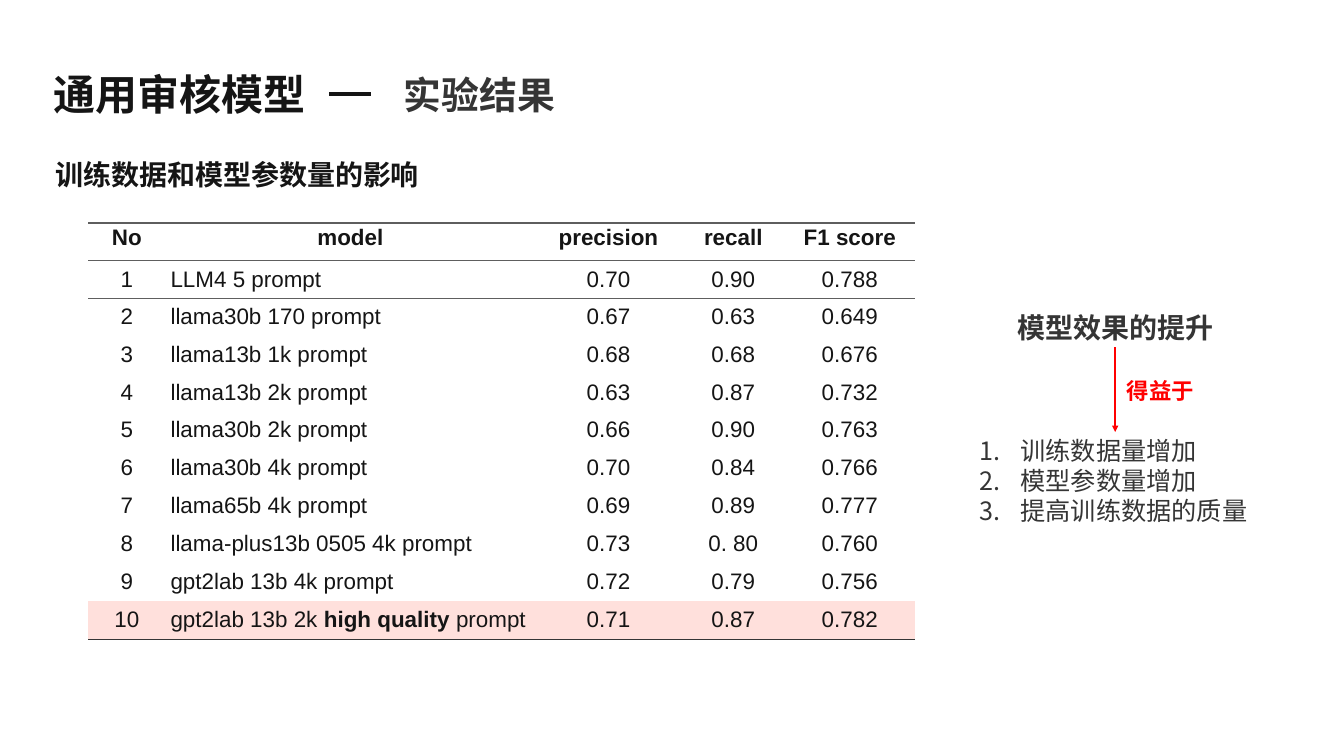
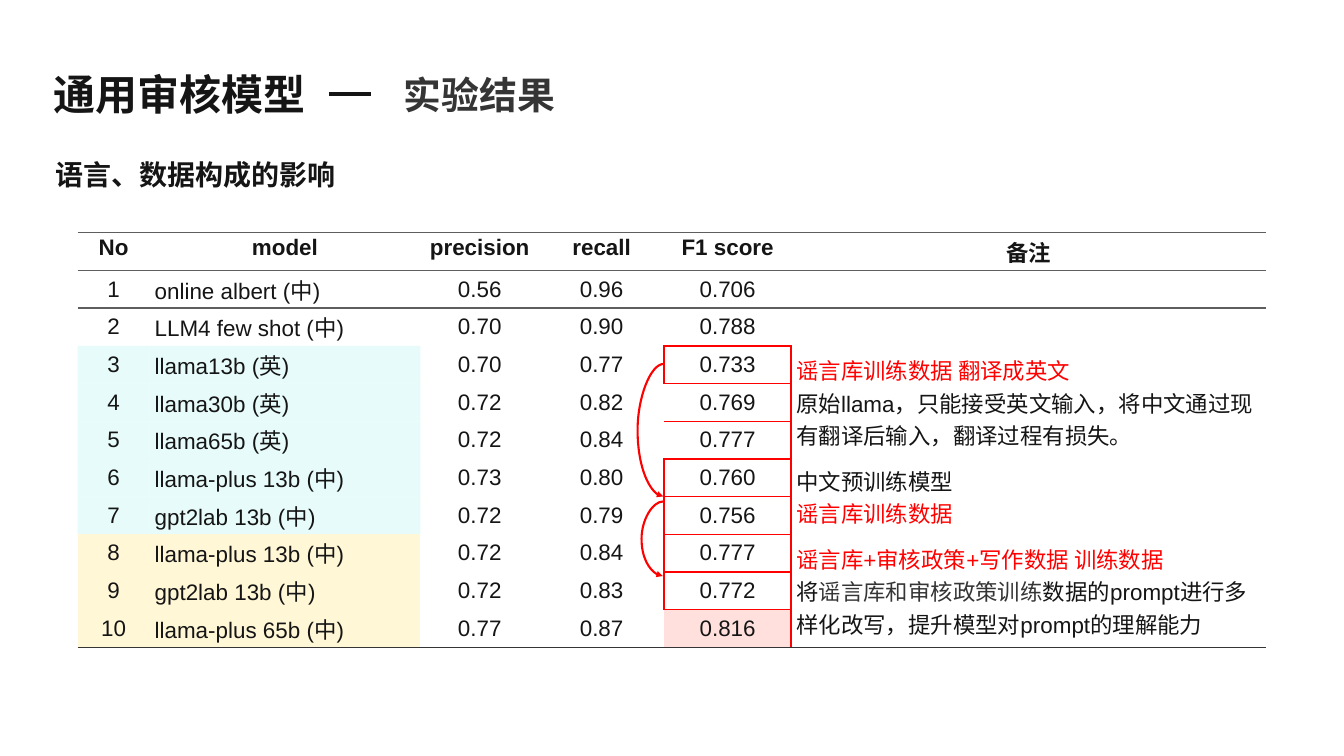
from collections import defaultdict, namedtuple

from lxml.etree import SubElement
from pptx import Presentation
from pptx.dml.color import RGBColor
from pptx.enum.shapes import MSO_CONNECTOR
from pptx.enum.text import MSO_ANCHOR, MSO_AUTO_SIZE, PP_ALIGN
from pptx.oxml.ns import qn
from pptx.util import Cm, Pt

INK = "151515"
GREY = "353535"
RULE = "5E5E5E"
RED = "FF0000"
PINK = "FFE0DC"
MINT = "D0FBF6"
CREAM = "FFF7D6"
EAST_ASIAN_FONT = "Noto Sans CJK SC"
PLAIN_TABLE_STYLE = "{2D5ABB26-0587-4C30-8999-92F81FD0307C}"
TITLE_AND_CONTENT, TITLE_ONLY = 1, 5
SIDES = {
    "L": (0, -1, "R"),
    "R": (0, 1, "L"),
    "T": (-1, 0, "B"),
    "B": (1, 0, "T"),
}

Run = namedtuple("Run", "text color bold", defaults=(None, None))


def rgb(color):
    return RGBColor.from_string(color)


class Deck:
    def __init__(self):
        self.presentation = Presentation()
        self.presentation.slide_width = Cm(67.73)
        self.presentation.slide_height = Cm(38.1)
        self.slide = None

    def add_slide(self, layout, topic):
        layouts = self.presentation.slide_layouts
        self.slide = self.presentation.slides.add_slide(layouts[layout])
        title = self.slide.shapes.title
        self.place(title, 2.54, 3.5, 18.36, 2.4)
        frame = title.text_frame
        frame.margin_left = frame.margin_right = Cm(0.15)
        frame.margin_top = frame.margin_bottom = Cm(0.15)
        self.fill_text(frame, ["通用审核模型"], 60, bold=True)
        self.text_box("实验结果", 20.09, 3.45, 21.77, 2.57, 54, GREY)
        self.line(16.59, 4.72, 18.72, 4.72, INK, 6)
        self.text_box(topic, 2.54, 7.82, 19.76, 1.96, 40, font=EAST_ASIAN_FONT)

    def place(self, shape, left, top, width, height):
        shape.left, shape.top = Cm(left), Cm(top)
        shape.width, shape.height = Cm(width), Cm(height)
        frame = shape.text_frame
        frame.word_wrap = True
        frame.auto_size = MSO_AUTO_SIZE.NONE
        frame.vertical_anchor = MSO_ANCHOR.MIDDLE

    def fill_text(self, frame, paragraphs, size, color=INK, bold=False,
                  font="Arial", align=PP_ALIGN.LEFT, numbered=False):
        for index, content in enumerate(paragraphs):
            paragraph = frame.paragraphs[0] if index == 0 else frame.add_paragraph()
            paragraph.alignment = align
            paragraph.space_before = Pt(0)
            if numbered:
                self.number(paragraph, size)
            runs = [Run(content)] if isinstance(content, str) else content
            shared = runs[0] if len(runs) == 1 else Run("")
            paragraph.font.name = font
            paragraph.font.size = Pt(size)
            paragraph.font.bold = bold if shared.bold is None else shared.bold
            paragraph.font.color.rgb = rgb(shared.color or color)
            properties = paragraph._p.pPr.find(qn("a:defRPr"))
            SubElement(properties, qn("a:ea"), typeface=EAST_ASIAN_FONT)
            for part in runs:
                run = paragraph.add_run()
                run.text = part.text
                if len(runs) > 1 and part.color:
                    run.font.color.rgb = rgb(part.color)
                if len(runs) > 1 and part.bold:
                    run.font.bold = True

    def number(self, paragraph, size):
        paragraph.line_spacing = Pt(size * 1.2)
        properties = paragraph._p.get_or_add_pPr()
        properties.set("marL", str(Cm(2.06)))
        properties.set("indent", str(-Cm(2.06)))
        SubElement(properties, qn("a:buFont"), typeface="+mj-lt")
        SubElement(properties, qn("a:buAutoNum"), type="arabicPeriod")

    def text_box(self, text, left, top, width, height, size, color=INK,
                 font="Arial", align=PP_ALIGN.LEFT):
        box = self.slide.shapes.add_textbox(0, 0, 0, 0)
        self.place(box, left, top, width, height)
        self.fill_text(box.text_frame, [text], size, color, True, font, align)
        return box

    def numbered_list(self, items, left, top, width, height):
        body = self.slide.placeholders[1]
        self.place(body, left, top, width, height)
        self.fill_text(body.text_frame, items, 36, GREY, font="Roboto", numbered=True)
        return body

    def line(self, x1, y1, x2, y2, color, width, arrow=False,
             kind=MSO_CONNECTOR.STRAIGHT):
        connector = self.slide.shapes.add_connector(
            kind, Cm(x1), Cm(y1), Cm(x2), Cm(y2))
        connector.line.color.rgb = rgb(color)
        connector.line.width = Pt(width)
        properties = connector._element.spPr
        if arrow:
            SubElement(properties.find(qn("a:ln")), qn("a:tailEnd"), type="triangle")
        SubElement(properties, qn("a:effectLst"))
        return connector

    def arrow_between(self, upper, lower):
        arrow = self.line(0, 0, 1, 1, RED, 3, arrow=True)
        arrow.begin_connect(upper, 2)
        arrow.end_connect(lower, 0)

    def curved_arrow(self, x, top, bottom, bulge):
        span = 0.03
        curve = self.line(x - span, top, x, bottom, RED, 3, True, MSO_CONNECTOR.CURVE)
        properties = curve._element.spPr
        transform = properties.find(qn("a:xfrm"))
        transform.set("rot", "10800000")
        transform.set("flipV", "1")
        geometry = properties.find(qn("a:prstGeom"))
        adjustments = geometry.find(qn("a:avLst"))
        if adjustments is None:
            adjustments = SubElement(geometry, qn("a:avLst"))
        amount = round(bulge / span * 100000)
        SubElement(adjustments, qn("a:gd"), name="adj1", fmla=f"val {amount}")

    def table(self, left, top, widths, heights, rows, fills, edges=(), merges=()):
        table_frame = self.slide.shapes.add_table(
            len(rows), len(widths), Cm(left), Cm(top),
            Cm(sum(widths)), Cm(sum(heights)))
        table = table_frame.table
        table.first_row = table.horz_banding = False
        table._tbl.tblPr.find(qn("a:tableStyleId")).text = PLAIN_TABLE_STYLE
        for column, width in zip(table.columns, widths):
            column.width = Cm(width)
        for row, height in zip(table.rows, heights):
            row.height = Cm(height)
        borders = self.borders(len(rows), len(widths), edges)
        for row, values in enumerate(rows):
            for column, value in enumerate(values):
                cell = table.cell(row, column)
                self.border_cell(cell, borders[row, column])
                self.fill_cell(cell, fills.get((row, column)))
                self.fill_cell_text(cell, value, row, column)
        for first, last, column in merges:
            table.cell(first, column).merge(table.cell(last, column))

    def borders(self, row_count, column_count, edges):
        borders = defaultdict(dict)
        last = row_count - 1
        rules = [(0, "T", RULE), (0, "B", RULE), (last, "B", GREY)]
        ruled = [(row, column, side, color) for row, side, color in rules
                 for column in range(column_count)]
        for row, column, side, color in ruled + list(edges):
            row_step, column_step, opposite = SIDES[side]
            borders[row, column][side] = color
            borders[row + row_step, column + column_step][opposite] = color
        return borders

    def border_cell(self, cell, sides):
        properties = cell._tc.get_or_add_tcPr()
        for side in SIDES:
            if side in sides:
                line = SubElement(properties, qn(f"a:ln{side}"), w=str(Pt(2.25)))
                fill = SubElement(line, qn("a:solidFill"))
                SubElement(fill, qn("a:srgbClr"), val=sides[side])

    def fill_cell(self, cell, color):
        if color is None:
            cell.fill.background()
            return
        cell.fill.solid()
        cell.fill.fore_color.rgb = rgb(color)
        if color == MINT:
            value = cell._tc.tcPr.find(qn("a:solidFill")).find(qn("a:srgbClr"))
            SubElement(value, qn("a:alpha"), val="50000")

    def fill_cell_text(self, cell, value, row, column):
        if not value:
            return
        if row:
            cell.vertical_anchor = MSO_ANCHOR.MIDDLE
        left_aligned = row > 0 and column in (1, 5)
        align = PP_ALIGN.LEFT if left_aligned else PP_ALIGN.CENTER
        paragraphs = [value] if isinstance(value, str) else value
        self.fill_text(cell.text_frame, paragraphs, 32, bold=row == 0, align=align)


HEADER = ["No", "model", "precision", "recall", "F1 score"]

SIZE_RESULTS = [
    ["LLM4 5 prompt", "0.70", "0.90", "0.788"],
    ["llama30b 170 prompt", "0.67", "0.63", "0.649"],
    ["llama13b 1k prompt", "0.68", "0.68", "0.676"],
    ["llama13b 2k prompt", "0.63", "0.87", "0.732"],
    ["llama30b 2k prompt", "0.66", "0.90", "0.763"],
    ["llama30b 4k prompt", "0.70", "0.84", "0.766"],
    ["llama65b 4k prompt", "0.69", "0.89", "0.777"],
    ["llama-plus13b 0505 4k prompt", "0.73", "0. 80", "0.760"],
    ["gpt2lab 13b 4k prompt", "0.72", "0.79", "0.756"],
    [[[Run("gpt2lab 13b 2k "), Run("high quality ", bold=True), Run("prompt")]],
     "0.71", "0.87", "0.782"],
]

LANGUAGE_RESULTS = [
    ["online albert (中)", "0.56", "0.96", "0.706"],
    ["LLM4 few shot (中)", "0.70", "0.90", "0.788"],
    ["llama13b (英)", "0.70", "0.77", "0.733"],
    ["llama30b (英)", "0.72", "0.82", "0.769"],
    ["llama65b (英)", "0.72", "0.84", "0.777"],
    ["llama-plus 13b (中)", "0.73", "0.80", "0.760"],
    ["gpt2lab 13b (中)", "0.72", "0.79", "0.756"],
    ["llama-plus 13b (中)", "0.72", "0.84", "0.777"],
    ["gpt2lab 13b (中)", "0.72", "0.83", "0.772"],
    ["llama-plus 65b (中)", "0.77", "0.87", "0.816"],
]

NOTES = {
    3: [[Run("谣言库训练数据 翻译成英文", RED)],
        "原始llama，只能接受英文输入，将中文通过现有翻译后输入，翻译过程有损失。"],
    6: ["中文预训练模型", [Run("谣言库训练数据", RED)]],
    8: [[Run("谣言库+审核政策+写作数据 训练数据", RED)],
        [Run("将"), Run("谣言库和审核政策训练", GREY),
         Run("数据的prompt进行多样化改写，提升模型对prompt的理解能力")]],
}


def numbered_rows(results):
    return [[str(number), *values] for number, values in enumerate(results, 1)]


def build_size_slide(deck):
    deck.add_slide(TITLE_AND_CONTENT, "训练数据和模型参数量的影响")
    deck.table(4.45, 11.23, [3.89, 18.64, 7.37, 5.21, 6.53],
               [1.9] * 9 + [1.95] * 2,
               [HEADER] + numbered_rows(SIZE_RESULTS),
               {(10, column): PINK for column in range(5)})
    causes = deck.numbered_list(
        ["训练数据量增加", "模型参数量增加", "提高训练数据的质量"],
        49.11, 21.77, 14.18, 4.88)
    effect = deck.text_box("模型效果的提升", 49.48, 15.54, 13.44, 1.96, 40,
                           GREY, "Roboto", PP_ALIGN.CENTER)
    deck.arrow_between(effect, causes)
    deck.text_box("得益于", 56.18, 18.85, 4.6, 1.63, 32,
                  RED, "Roboto", PP_ALIGN.CENTER)


def build_language_slide(deck):
    deck.add_slide(TITLE_ONLY, "语言、数据构成的影响")
    rows = [HEADER + ["备注"]]
    for number, row in enumerate(numbered_rows(LANGUAGE_RESULTS), 1):
        rows.append(row + [NOTES.get(number)])
    fills = {(row, column): MINT if row < 8 else CREAM
             for row in range(3, 11) for column in range(2)}
    fills[10, 4] = PINK
    edges = [(row, 4, "R", RED) for row in range(3, 11)]
    for first, last in [(3, 3), (6, 7), (8, 9)]:
        edges += [(row, 4, "L", RED) for row in range(first, last + 1)]
        edges += [(first, 4, "T", RED), (last, 4, "B", RED)]
    edges.append((8, 5, "B", GREY))
    deck.table(3.91, 11.73, [3.63, 13.64, 5.99, 6.3, 6.4, 23.95],
               [1.9] * 11, rows, fills, edges,
               [(3, 5, 5), (6, 7, 5), (8, 10, 5)])
    deck.curved_arrow(33.45, 18.34, 25.02, 1.32)
    deck.curved_arrow(33.43, 25.27, 29.03, 1.1)


def main():
    deck = Deck()
    build_size_slide(deck)
    build_language_slide(deck)
    deck.presentation.save("out.pptx")


if __name__ == "__main__":
    main()
